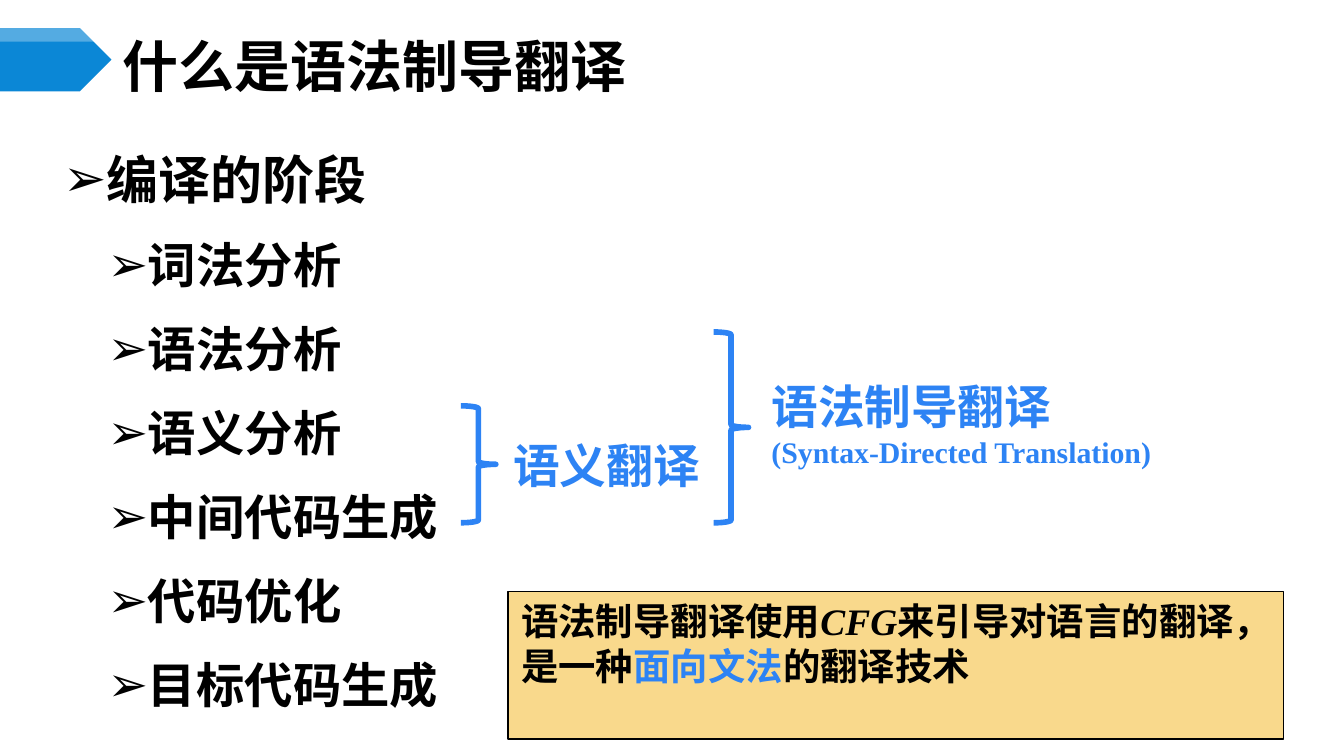
from dataclasses import dataclass
from lxml.etree import SubElement
from pptx import Presentation
from pptx.dml.color import RGBColor
from pptx.enum.shapes import MSO_SHAPE
from pptx.enum.text import MSO_ANCHOR, MSO_AUTO_SIZE, PP_ALIGN
from pptx.oxml.ns import qn
from pptx.util import Inches, Pt


@dataclass(frozen=True)
class Theme:
    cjk: str = "Noto Sans CJK SC"
    latin: str = "Times New Roman"
    ink: str = "000000"
    blue: str = "2D83F4"
    tab: str = "0B87D6"
    shine: str = "FFFFFF"
    note: str = "F9D98C"
    title: float = 30
    head: float = 27.8
    item: float = 25.9
    label: float = 25
    small: float = 16
    body: float = 20
    lead: float = 38
    gap: float = 7


T = Theme()
WIDE = 10
HIGH = WIDE * 9 / 16
TITLE = "什么是语法制导翻译"
HEAD = "编译的阶段"
STEPS = ["词法分析", "语法分析", "语义分析", "中间代码生成", "代码优化", "目标代码生成"]
LABEL = dict(size=T.label, color=T.blue)
GROUPS = [
    dict(left=3.43, top=3.02, text=(3.82, 3.25),
         lines=[[("语义翻译", LABEL)]]),
    dict(left=5.31, top=2.47, text=(5.74, 2.95),
         lines=[[("语法制导翻译", LABEL)],
                [("(Syntax-Directed Translation)",
                  dict(size=T.small, color=T.blue, font=T.latin))]]),
]
FOOT = 3.89
BRACE = 0.26
NOTE = [
    [("语法制导翻译使用", {}), ("CFG", dict(font=T.latin, italic=True)),
     ("来引导对语言的翻译，", {})],
    [("是一种", {}), ("面向文法", dict(color=T.blue)), ("的翻译技术", {})],
]


def rgb(code):
    return RGBColor.from_string(code)


def box(*sides):
    return [Inches(side) for side in sides]


def write(para, text, size=T.body, color=T.ink, font=T.cjk, italic=False):
    run = para.add_run()
    run.text = text
    face = run.font
    face.size, face.bold, face.italic = Pt(size), True, italic
    face.color.rgb = rgb(color)
    face.name = font
    SubElement(face._element, qn("a:ea"), typeface=T.cjk)


def fill_text(frame, lines, pad=(0.08, 0.04, 0.08), anchor=MSO_ANCHOR.TOP,
              wrap=True, fit=MSO_AUTO_SIZE.NONE):
    frame.margin_left, frame.margin_top, frame.margin_right = box(*pad)
    frame.margin_bottom = frame.margin_top
    frame.vertical_anchor, frame.word_wrap, frame.auto_size = anchor, wrap, fit
    for n, line in enumerate(lines):
        para = frame.add_paragraph() if n else frame.paragraphs[0]
        para.alignment = PP_ALIGN.LEFT
        for text, style in line:
            write(para, text, **style)


def bullet(para, level, before):
    para.level = level
    para.line_spacing, para.space_before = Pt(T.lead), Pt(before)
    para.space_after = Pt(0)
    props = para._p.get_or_add_pPr()
    props.set("marL", str(Inches(0.63 if level else 0.3)))
    props.set("indent", str(Inches(-0.3)))
    tint = SubElement(props, qn("a:buClr"))
    SubElement(tint, qn("a:srgbClr"), val=T.ink)
    SubElement(props, qn("a:buChar"), char="➢")


def shape(slide, kind, sides, fill=None, line=None, width=0.75):
    item = slide.shapes.add_shape(kind, *box(*sides))
    item.shadow.inherit = False
    if fill:
        item.fill.solid()
        item.fill.fore_color.rgb = rgb(fill)
    else:
        item.fill.background()
    if line:
        item.line.color.rgb = rgb(line)
        item.line.width = Pt(width)
    else:
        item.line.fill.background()
    return item


def place(item, *sides):
    item.left, item.top, item.width, item.height = box(*sides)


def main():
    deck = Presentation()
    deck.slide_width, deck.slide_height = box(WIDE, HIGH)
    slide = deck.slides.add_slide(deck.slide_layouts[1])

    for high, color in [(0.47, T.tab), (0.1, T.shine)]:
        tab = shape(slide, MSO_SHAPE.PENTAGON, (0, 0.21, 0.83, high), color)
        tab.adjustments[0] = 0.5
    tint = tab.fill._xPr.find(qn("a:solidFill"))[0]
    SubElement(tint, qn("a:alpha"), val="30000")

    title, body = slide.placeholders
    place(title, 0.83, 0.29, 8.67, 0.39)
    fill_text(title.text_frame, [[(TITLE, dict(size=T.title))]],
              anchor=MSO_ANCHOR.MIDDLE)

    place(body, 0.39, 0.99, 6.48, 3.53)
    rows = [[(HEAD, dict(size=T.head))]]
    rows += [[(step, dict(size=T.item))] for step in STEPS]
    fill_text(body.text_frame, rows)
    for n, para in enumerate(body.text_frame.paragraphs):
        bullet(para, min(n, 1), T.gap if n else 0)

    for group in GROUPS:
        left, top = group["left"], group["top"]
        brace = shape(slide, MSO_SHAPE.RIGHT_BRACE,
                      (left, top, BRACE, FOOT - top), line=T.blue, width=3)
        brace.adjustments[0] = 0.08
        label = slide.shapes.add_textbox(*box(*group["text"], 1.95, 0.41))
        fill_text(label.text_frame, group["lines"], pad=(0, 0.04, 0.08),
                  anchor=MSO_ANCHOR.MIDDLE, wrap=False)

    note = shape(slide, MSO_SHAPE.RECTANGLE, (3.78, 4.4, 5.77, 1.1), T.note, T.ink)
    fill_text(note.text_frame, NOTE, pad=(0.1, 0.05, 0.3),
              fit=MSO_AUTO_SIZE.SHAPE_TO_FIT_TEXT)
    deck.save("out.pptx")


if __name__ == "__main__":
    main()
